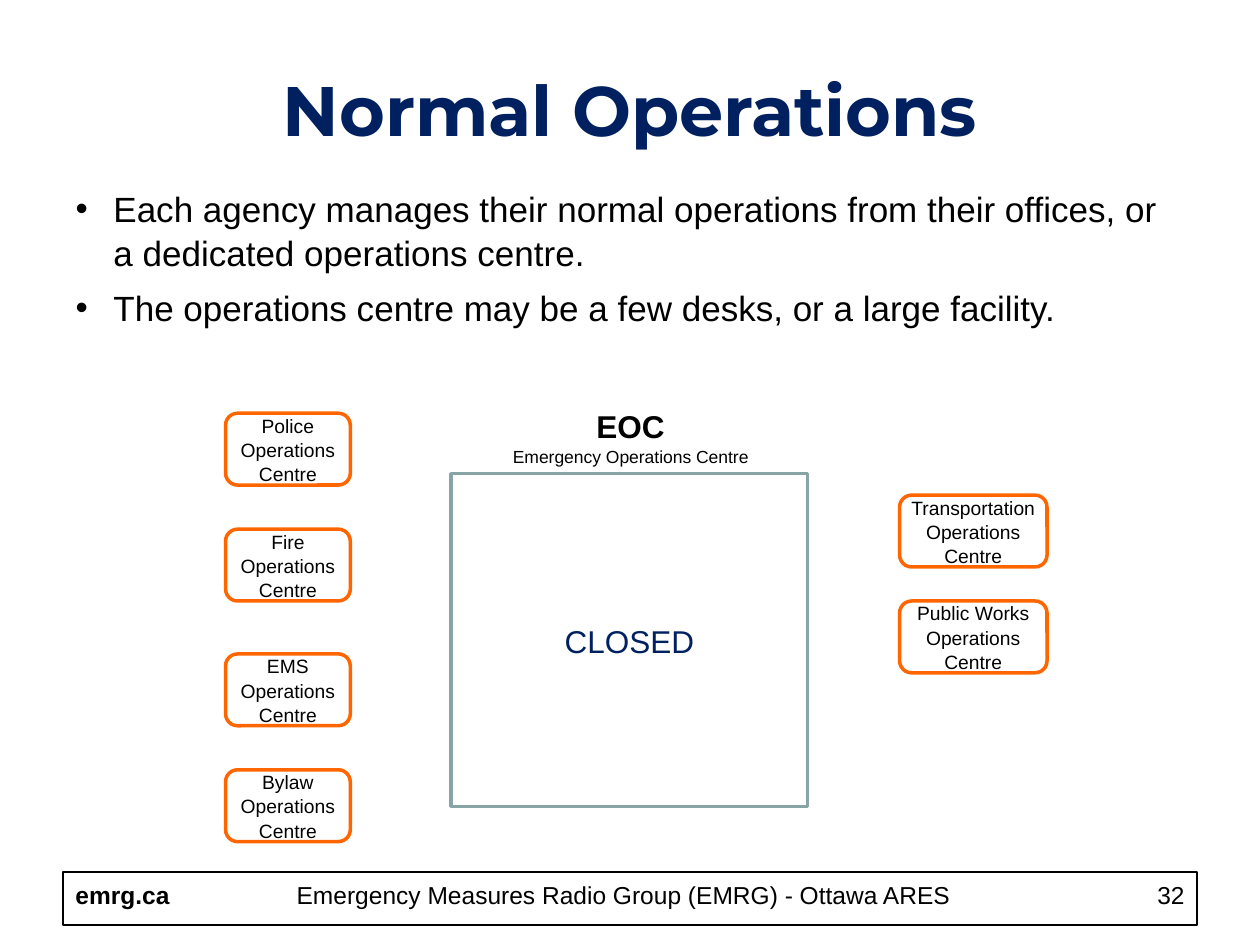
"""Build the Normal Operations slide with its agency centres around a closed EOC."""
from pptx import Presentation
from pptx.dml.color import RGBColor
from pptx.enum.shapes import MSO_SHAPE
from pptx.enum.text import MSO_ANCHOR, MSO_AUTO_SIZE, PP_ALIGN
from pptx.util import Inches, Pt

BLACK = RGBColor(0x00, 0x00, 0x00)
NAVY = RGBColor(0x00, 0x20, 0x60)
ORANGE = RGBColor(0xFF, 0x66, 0x00)
GREY = RGBColor(0x89, 0xA4, 0xA7)

TITLE = "Normal Operations"
POINTS = [
    "Each agency manages their normal operations from their offices, or a dedicated operations centre.",
    "The operations centre may be a few desks, or a large facility.",
]
FOOTER = [
    ("emrg.ca", 0.5, 1.01, PP_ALIGN.LEFT, True),
    ("Emergency Measures Radio Group (EMRG) - Ottawa ARES", 1.65, 6.6, PP_ALIGN.CENTER, False),
    ("32", 8.31, 1.19, PP_ALIGN.RIGHT, False),
]
SIDES = [
    (1.79, 0.99, [("Police", 3.28), ("Fire", 4.2), ("EMS", 5.19), ("Bylaw", 6.11)]),
    (7.14, 1.17, [("Transportation", 3.93), ("Public Works", 4.77)]),
]


def place(shape, *spot):
    shape.left, shape.top, shape.width, shape.height = map(Inches, spot)


def write(shape, rows, align=PP_ALIGN.CENTER, anchor=MSO_ANCHOR.TOP, space=1.05):
    frame = shape.text_frame
    frame.text = "\n".join(row[0] for row in rows)
    frame.word_wrap = True
    frame.auto_size = MSO_AUTO_SIZE.NONE
    frame.vertical_anchor = anchor
    for para, (text, size, color, bold, face) in zip(frame.paragraphs, rows):
        para.alignment = align
        para.line_spacing = space
        font = para.font
        font.name, font.size, font.bold = face, Pt(size), bold
        font.color.rgb = color
    return frame


def plain(text, size, color=BLACK, bold=False):
    return text, size, color, bold, "Arial"


def outline(slide, kind, spot, color, width):
    shape = slide.shapes.add_shape(kind, *map(Inches, spot))
    shape.shadow.inherit = False
    shape.fill.background()
    shape.line.color.rgb = color
    shape.line.width = Pt(width)
    return shape


def label(slide, spot, rows, align=PP_ALIGN.CENTER):
    write(slide.shapes.add_textbox(*map(Inches, spot)), rows, align)


def main():
    deck = Presentation()
    deck.slide_width, deck.slide_height = Inches(10), Inches(7.5)
    slide = deck.slides.add_slide(deck.slide_layouts[1])
    title, body = slide.placeholders

    place(title, 0.5, 0.3, 9, 1.12)
    write(title, [(TITLE, 40, NAVY, True, "Montserrat")], anchor=MSO_ANCHOR.MIDDLE, space=1)

    place(body, 0.5, 1.42, 9, 1.19)
    frame = write(body, [plain(text, 20) for text in POINTS], PP_ALIGN.LEFT)
    for order, para in enumerate(frame.paragraphs):
        para.space_before = Pt(6 if order else 0)
        props = para._p.get_or_add_pPr()
        props.set("marL", str(Inches(0.3)))
        props.set("indent", str(Inches(-0.3)))

    outline(slide, MSO_SHAPE.RECTANGLE, (0.5, 6.92, 9, 0.42), BLACK, 1)
    for text, left, width, align, bold in FOOTER:
        label(slide, (left, 6.92, width, 0.43), [plain(text, 14, bold=bold)], align)

    label(slide, (3.92, 3.17, 2.17, 0.57),
          [plain("EOC", 18, bold=True), plain("Emergency Operations Centre", 10)])
    room = outline(slide, MSO_SHAPE.RECTANGLE, (3.58, 3.76, 2.83, 2.64), GREY, 2)
    write(room, [plain("CLOSED", 18, NAVY)], anchor=MSO_ANCHOR.MIDDLE)

    for left, width, centres in SIDES:
        for name, top in centres:
            box = outline(slide, MSO_SHAPE.ROUNDED_RECTANGLE, (left, top, width, 0.57), ORANGE, 2)
            frame = write(box, [plain(name, 11), plain("Operations Centre", 11)],
                          anchor=MSO_ANCHOR.MIDDLE)
            frame.margin_left = frame.margin_right = 0

    deck.save("out.pptx")


if __name__ == "__main__":
    main()
